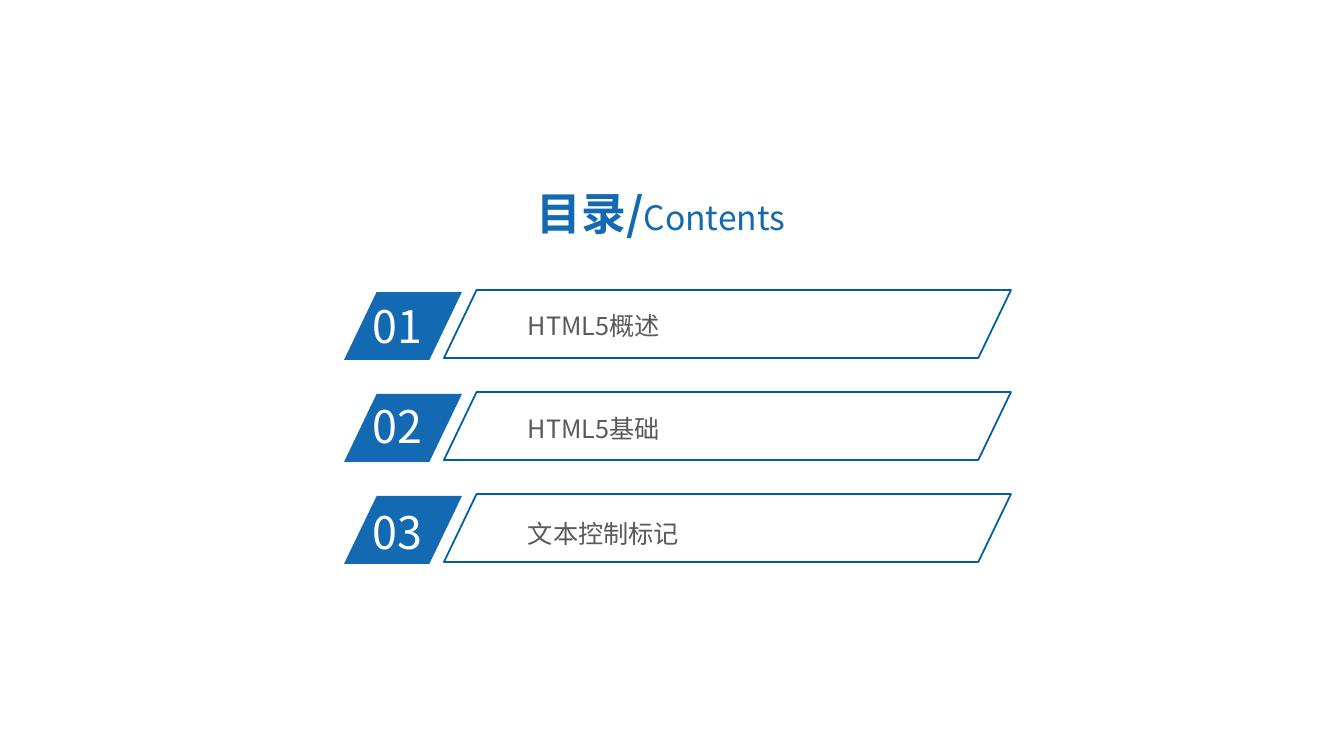
from pptx import Presentation
from pptx.dml.color import RGBColor
from pptx.enum.shapes import MSO_SHAPE as SHAPE
from pptx.enum.text import MSO_ANCHOR as ANCHOR, PP_ALIGN as ALIGN
from pptx.oxml.ns import qn
from pptx.util import Pt
from lxml.etree import SubElement

TITLE = [("目录/", 32, True), ("Contents", 24, False)]
SECTIONS = [
    ("01", 294, "HTML5概述", 306),
    ("02", 394, "HTML5基础", 409),
    ("03", 500, "文本控制标记", 514),
]
FONT = "Noto Sans CJK SC"
BLUE, OUTLINE, GREY, WHITE = "1369B2", "005DA2", "595959", "FFFFFF"
BADGE_TOP, FRAME_TOP, PITCH, ROW_H = 292, 290, 102, 68
SLANT = 0.48


def px(n):
    return round(n * 914400 / 100.8)


def rgb(color):
    return RGBColor.from_string(color)


def add_text(box, runs, color, insets, anchor=ANCHOR.TOP, align=ALIGN.LEFT):
    tf = slide.shapes.add_textbox(*map(px, box)).text_frame
    tf.word_wrap = True
    tf.vertical_anchor = anchor
    tf.margin_left = tf.margin_right = px(insets[0])
    tf.margin_top = tf.margin_bottom = px(insets[1])
    p = tf.paragraphs[0]
    p.alignment = align
    for text, size, bold in runs:
        r = p.add_run()
        r.text = text
        r.font.name = FONT
        r.font.size = Pt(size)
        r.font.bold = bold
        r.font.color.rgb = rgb(color)
        SubElement(r.font._element, qn("a:ea")).set("typeface", FONT)


def add_slanted(x, y, w, fill=None, line=None):
    sp = slide.shapes.add_shape(SHAPE.PARALLELOGRAM, px(x), px(y), px(w), px(ROW_H))
    sp.adjustments[0] = SLANT
    sp.shadow.inherit = False
    if fill:
        sp.fill.solid()
        sp.fill.fore_color.rgb = rgb(fill)
    else:
        sp.fill.background()
    if line:
        sp.line.color.rgb = rgb(line)
        sp.line.width = Pt(1.25)
    else:
        sp.line.fill.background()


prs = Presentation()
prs.slide_width, prs.slide_height = px(1344), px(756)
slide = prs.slides.add_slide(prs.slide_layouts[6])

add_text((495, 176, 332, 73), TITLE, BLUE, (13, 7), ANCHOR.MIDDLE, ALIGN.CENTER)
for i, (number, number_top, label, label_top) in enumerate(SECTIONS):
    add_slanted(344, BADGE_TOP + i * PITCH, 118, fill=BLUE)
    add_text((363, number_top, 113, 64), [(number, 32, False)], WHITE, (10, 5))
    add_slanted(444, FRAME_TOP + i * PITCH, 567, line=OUTLINE)
    add_text((521, label_top, 415, 38), [(label, 18, False)], GREY, (7, 4))

prs.save("out.pptx")
